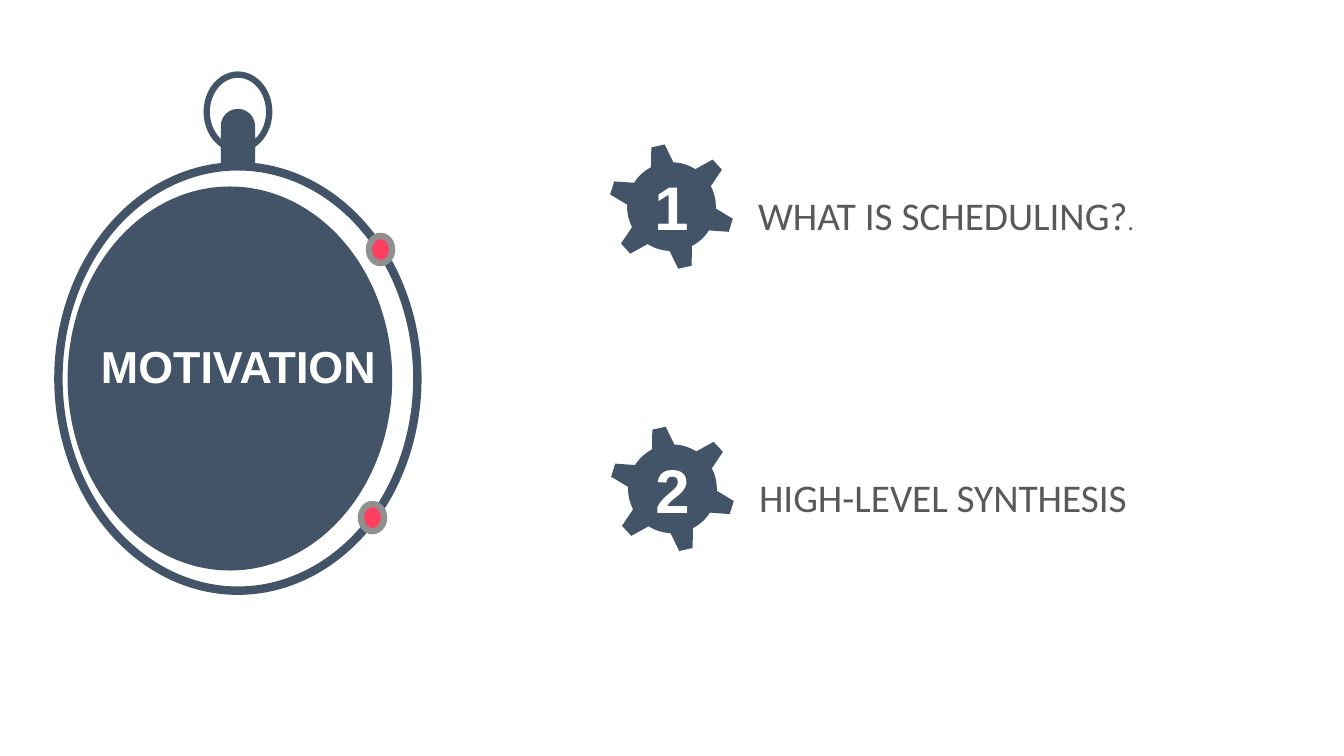
from math import cos, radians, sin

from pptx import Presentation
from pptx.dml.color import RGBColor
from pptx.enum.shapes import MSO_SHAPE as Shape
from pptx.enum.text import MSO_AUTO_SIZE as AutoSize, PP_ALIGN as Align
from pptx.util import Inches, Pt

COLORS = {
    "slate": "435468",
    "red": "FF4061",
    "gray": "909090",
    "white": "FFFFFF",
    "text": "595959",
}

TITLE = "MOTIVATION"
TOPICS = [
    {"number": "1", "center": (6.66, 2.05), "width": 3.93,
     "runs": [("WHAT IS SCHEDULING?", 28), (".", 18)]},
    {"number": "2", "center": (6.67, 4.85), "width": 3.85,
     "runs": [("HIGH-LEVEL SYNTHESIS", 28)]},
]

WATCH = [
    (Shape.OVAL, (0.67, 1.85, 3.22, 3.81), "slate", None, 0),
    (Shape.OVAL, (0.58, 1.65, 3.56, 4.21), None, "slate", 6),
    (Shape.ROUNDED_RECTANGLE, (2.19, 1.08, 0.34, 0.57), "slate", None, 0),
    (Shape.OVAL, (2.05, 0.74, 0.62, 0.74), None, "slate", 4.5),
    (Shape.RECTANGLE, (2.19, 1.35, 0.34, 0.31), "slate", None, 0),
    (Shape.OVAL, (3.66, 2.34, 0.23, 0.27), "red", "gray", 4.5),
    (Shape.OVAL, (3.58, 5.0, 0.23, 0.27), "red", "gray", 4.5),
]

TEETH = 6
FIRST_TOOTH = 17.5
ROOT_RADIUS, TIP_RADIUS = 0.44, 0.62
ROOT_HALF, TIP_HALF = 15, 6.3
ARC_STEP = 3


def color(name):
    return RGBColor.from_string(COLORS[name])


def paint(shape, fill, line=None, line_width=0):
    shape.shadow.inherit = False
    if fill:
        shape.fill.solid()
        shape.fill.fore_color.rgb = color(fill)
    else:
        shape.fill.background()
    if line:
        shape.line.color.rgb = color(line)
        shape.line.width = Pt(line_width)
    else:
        shape.line.fill.background()


def add_text(slide, box, runs, font_name, font_color, bold=False,
             align=Align.LEFT, wrap=False):
    text_box = slide.shapes.add_textbox(*map(Inches, box))
    frame = text_box.text_frame
    frame.word_wrap = wrap
    frame.auto_size = AutoSize.SHAPE_TO_FIT_TEXT
    paragraph = frame.paragraphs[0]
    paragraph.alignment = align
    for text, size in runs:
        run = paragraph.add_run()
        run.text = text
        run.font.name = font_name
        run.font.size = Pt(size)
        run.font.bold = bold
        run.font.color.rgb = color(font_color)


def gear_points(center_x, center_y):
    pitch = 360 / TEETH
    arc_steps = int((pitch - 2 * ROOT_HALF) / ARC_STEP)
    polar = []
    for tooth in range(TEETH):
        middle = FIRST_TOOTH + tooth * pitch
        polar += [(ROOT_RADIUS, middle - ROOT_HALF),
                  (TIP_RADIUS, middle - TIP_HALF),
                  (TIP_RADIUS, middle + TIP_HALF)]
        polar += [(ROOT_RADIUS, middle + ROOT_HALF + step * ARC_STEP)
                  for step in range(arc_steps)]
    return [(Inches(center_x + radius * cos(radians(angle))),
             Inches(center_y + radius * sin(radians(angle))))
            for radius, angle in polar]


def add_topic(slide, topic):
    center_x, center_y = topic["center"]
    start, *others = gear_points(center_x, center_y)
    builder = slide.shapes.build_freeform(*start)
    builder.add_line_segments(others, close=True)
    paint(builder.convert_to_shape(), "slate")
    add_text(slide, (center_x - 0.29, center_y - 0.42, 0.58, 0.84),
             [(topic["number"], 44)], "Arial", "white", True, Align.CENTER)
    add_text(slide, (center_x + 0.76, center_y - 0.2, topic["width"], 0.57),
             topic["runs"], "Calibri", "text")


def main():
    presentation = Presentation()
    presentation.slide_width = Inches(13.33)
    presentation.slide_height = Inches(7.5)
    slide = presentation.slides.add_slide(presentation.slide_layouts[6])
    for kind, box, fill, line, line_width in WATCH:
        shape = slide.shapes.add_shape(kind, *map(Inches, box))
        paint(shape, fill, line, line_width)
        if kind == Shape.ROUNDED_RECTANGLE:
            shape.adjustments[0] = 0.5
    add_text(slide, (-0.31, 3.31, 5.35, 0.64), [(TITLE, 32)],
             "Arial", "white", True, Align.CENTER, True)
    for topic in TOPICS:
        add_topic(slide, topic)
    presentation.save("out.pptx")


if __name__ == "__main__":
    main()
